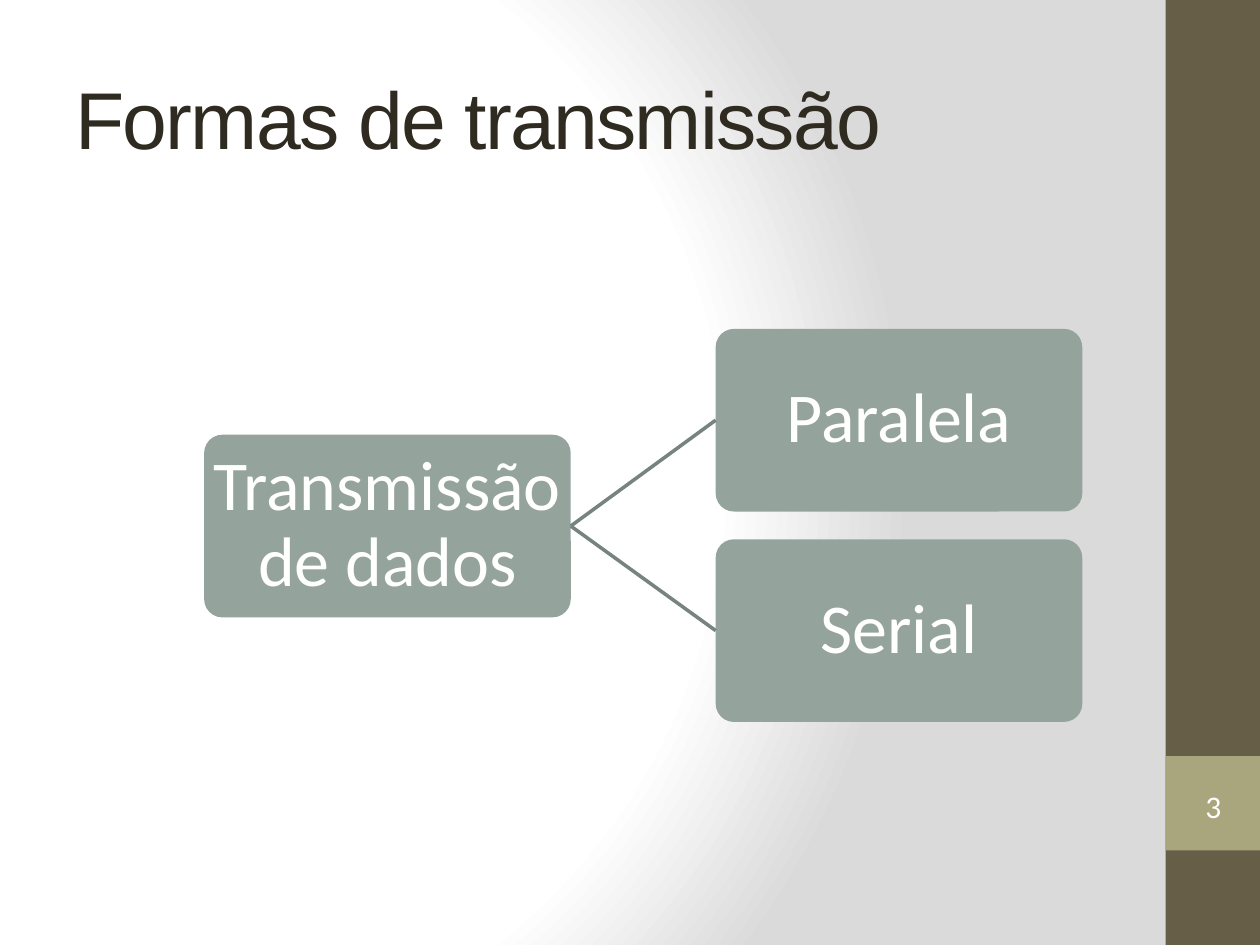
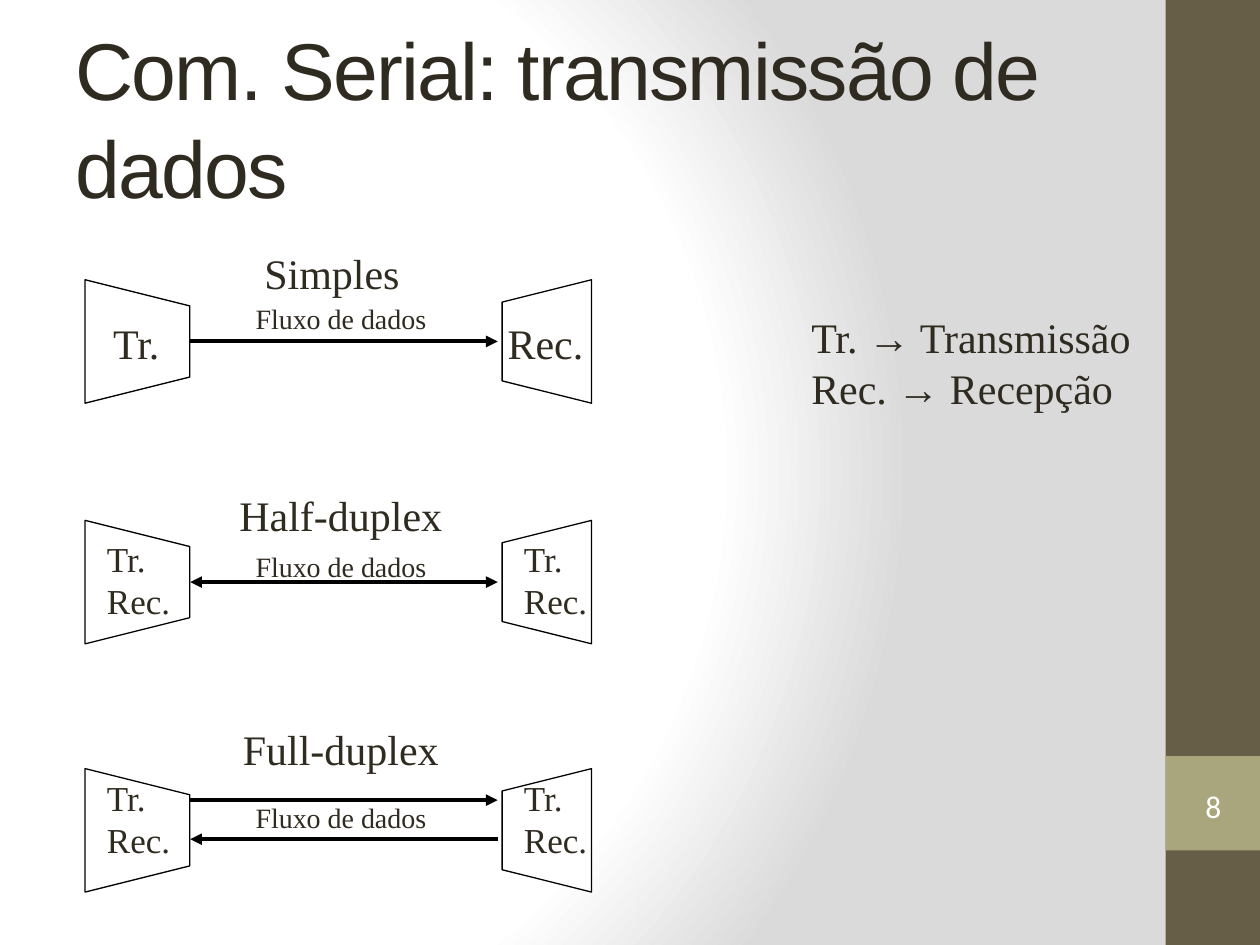
"""Builds two slides on forms of data transmission."""
from lxml import etree
from pptx import Presentation
from pptx import util as u
from pptx.dml.color import RGBColor
from pptx.enum import shapes, text
from pptx.oxml import parse_xml
from pptx.oxml.ns import nsdecls, qn

INK, WHITE, BLACK = "2F2B20", "FFFFFF", "000000"
BAND, TAB = "675E47", "A9A57C"
BOX, LINK = "95A39D", "77837E"
SERIF, SANS = "Times New Roman", "Calibri"
Kind, Align, Fit = shapes.MSO_SHAPE, text.PP_ALIGN, text.MSO_AUTO_SIZE


def write(shape, words, font=SERIF, size=24, color=INK, align=Align.LEFT,
          anchor=text.MSO_ANCHOR.TOP, inset=None, gap=None, wrap=True, spc=0):
    frame = shape.text_frame
    frame.text = words
    frame.word_wrap = wrap
    frame.auto_size = Fit.NONE
    frame.vertical_anchor = anchor
    if inset is not None:
        frame.margin_left = frame.margin_right = u.Inches(inset)
        frame.margin_top = frame.margin_bottom = u.Inches(inset)
    for para in frame.paragraphs:
        para.alignment = align
        para.line_spacing = gap or u.Pt(round(size * 1.22))
        for run in para.runs:
            run.font.name, run.font.size = font, u.Pt(size)
            run.font.color.rgb = RGBColor.from_string(color)
            if spc:
                run.font._element.set("spc", str(spc))


def draw(slide, kind, place, fill=None, line=None, width=0.75, ends=()):
    spots = [u.Inches(n) for n in place]
    if kind == "line":
        shape = slide.shapes.add_connector(shapes.MSO_CONNECTOR.STRAIGHT, *spots)
    elif kind == "text":
        return slide.shapes.add_textbox(*spots)
    else:
        shape = slide.shapes.add_shape(kind, *spots)
        shape.shadow.inherit = False
        if fill:
            shape.fill.solid()
            shape.fill.fore_color.rgb = RGBColor.from_string(fill)
        else:
            shape.fill.background()
    if line:
        shape.line.color.rgb = RGBColor.from_string(line)
        shape.line.width = u.Pt(width)
    else:
        shape.line.fill.background()
    for end in ends:
        etree.SubElement(shape.line._get_or_add_ln(), qn(f"a:{end}"), type="triangle")
    if kind == "line":
        etree.SubElement(shape._element.spPr, qn("a:effectLst"))
    return shape


deck = Presentation()
deck.slide_width, deck.slide_height = u.Inches(10), u.Inches(7.5)
master = deck.slide_master
master.background.fill.gradient()
old = master._element.find(".//" + qn("a:gradFill"))
stops = "".join(f'<a:gs pos="{pos}000"><a:srgbClr val="{tone}"/></a:gs>'
                for pos, tone in ((0, WHITE), (75, WHITE), (100, "DADADA")))
old.getparent().replace(old, parse_xml(
    f'<a:gradFill {nsdecls("a")} rotWithShape="1"><a:gsLst>{stops}</a:gsLst>'
    '<a:path path="circle"><a:fillToRect l="20000" t="50000" r="100000" b="50000"/>'
    '</a:path></a:gradFill>'))

pages = []
for title, number in (("Formas de transmissão", "3"),
                      ("Com. Serial: transmissão de dados", "8")):
    page = deck.slides.add_slide(deck.slide_layouts[5])
    draw(page, Kind.RECTANGLE, (9.25, 0, 0.75, 7.5), BAND)
    draw(page, Kind.RECTANGLE, (9.25, 6, 0.75, 0.75), TAB)
    head = page.shapes.title
    head.left, head.top = u.Inches(0.5), u.Inches(0.3)
    head.width, head.height = u.Inches(8.33), u.Inches(1.25)
    write(head, title, font="Arial", size=46, anchor=text.MSO_ANCHOR.MIDDLE, spc=-100)
    mark = draw(page, Kind.DOUBLE_BRACKET, (9.33, 6.18, 0.6, 0.43))
    write(mark, number, font=SANS, size=18, color=WHITE, align=Align.CENTER,
          anchor=text.MSO_ANCHOR.MIDDLE, inset=0)
    pages.append(page)
forms, serial = pages

wide, high = 2.91, 1.45
root_x, root_y, leaf_x = 1.62, 3.45, 5.68
nodes = (("Transmissão de dados", root_x, root_y),
         ("Paralela", leaf_x, 2.61), ("Serial", leaf_x, 4.28))
for words, x, y in nodes:
    node = draw(forms, Kind.ROUNDED_RECTANGLE, (x, y, wide, high), BOX)
    node.adjustments[0] = 0.1
    write(node, words, font=SANS, size=40, color=WHITE, align=Align.CENTER,
          anchor=text.MSO_ANCHOR.MIDDLE, inset=0.03, gap=0.9)
    if x == leaf_x:
        draw(forms, "line", (root_x + wide, root_y + high / 2, x, y + high / 2),
             line=LINK, width=2)

both = "Tr.\nRec."
rows = (
    ("Simples", 2.71, (1.81, 1.91, 1.65, 0.5), 2.33,
     (("Tr.", 0.8), ("Rec.", 3.93)), 24, ((2.71, ["tailEnd"]),)),
    ("Half-duplex", 4.62, (1.75, 3.83, 1.91, 0.5), 4.3,
     ((both, 0.75), (both, 4.06)), 20, ((4.62, ["headEnd", "tailEnd"]),)),
    ("Full-duplex", 6.59, (1.75, 5.69, 1.91, 0.5), 6.29,
     ((both, 0.75), (both, 4.06)), 20, ((6.35, ["tailEnd"]), (6.66, ["headEnd"]))),
)
for name, mid, place, flow, tags, size, lines in rows:
    for x, depth, turn in ((0.6, 0.83, 90), (3.85, 0.71, 270)):
        end = draw(serial, Kind.TRAPEZOID, (x, mid - depth / 2, 0.98, depth), WHITE, BLACK)
        end.rotation = turn
    for y, ends in lines:
        draw(serial, "line", (1.51, y, 3.95, y), line=BLACK, width=2.25, ends=ends)
    write(draw(serial, "text", place), name, align=Align.CENTER)
    for words, x in tags:
        tall = 0.5 if size == 24 else 0.78
        span = 0.71 if words == both else 0.57 if words == "Tr." else 0.81
        top = mid - (0.24 if size == 24 else 0.4) if mid < 6 else 6.11
        write(draw(serial, "text", (x, top, span, tall)), words, size=size, wrap=False)
    write(draw(serial, "text", (1.93, flow, 1.65, 0.37)), "Fluxo de dados", size=16)

write(draw(serial, "text", (6.34, 2.42, 2.91, 0.91)),
      "Tr. → Transmissão\nRec. → Recepção")

deck.save("out.pptx")
